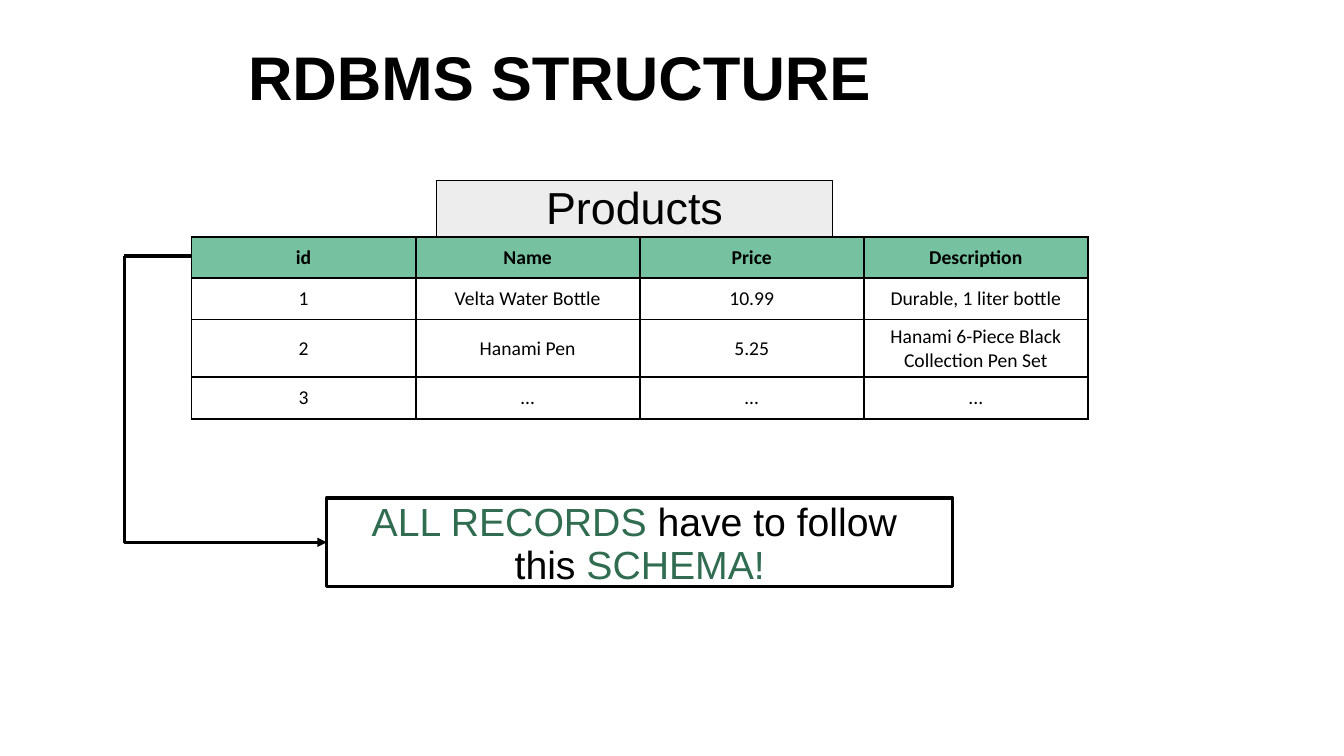
import lxml.etree
import pptx
import pptx.dml.color
import pptx.enum.shapes
import pptx.enum.text
import pptx.oxml.ns
import pptx.util

Inches, Pt = pptx.util.Inches, pptx.util.Pt
qn = pptx.oxml.ns.qn
CENTER = pptx.enum.text.PP_ALIGN.CENTER
TOP = pptx.enum.text.MSO_ANCHOR.TOP
MIDDLE = pptx.enum.text.MSO_ANCHOR.MIDDLE
CONNECTOR = pptx.enum.shapes.MSO_CONNECTOR

COLORS = {"ink": "000000", "paper": "FFFFFF", "label": "EDEDED",
          "header": "76C2A0", "accent": "306C50"}

PRODUCTS = [
    ["id", "Name", "Price", "Description"],
    ["1", "Velta Water Bottle", "10.99", "Durable, 1 liter bottle"],
    ["2", "Hanami Pen", "5.25", "Hanami 6-Piece Black Collection Pen Set"],
    ["3", "…", "…", "..."],
]


def rgb(name):
    return pptx.dml.color.RGBColor.from_string(COLORS[name])


def style_font(paragraph, size, name="Arial", bold=False):
    paragraph.font.size = Pt(size)
    paragraph.font.name = name
    paragraph.font.bold = bold
    paragraph.font.color.rgb = rgb("ink")


def prepare_frame(frame, anchor):
    frame.word_wrap = True
    frame.auto_size = pptx.enum.text.MSO_AUTO_SIZE.NONE
    frame.vertical_anchor = anchor
    frame.margin_left = frame.margin_right = Inches(0.05)
    frame.margin_top = frame.margin_bottom = Inches(0.05)
    frame.paragraphs[0].line_spacing = 0.9
    return frame.paragraphs[0]


def add_title(slide, left, top, width, height):
    title = slide.shapes.title
    title.left, title.top = Inches(left), Inches(top)
    title.width, title.height = Inches(width), Inches(height)
    heading = prepare_frame(title.text_frame, MIDDLE)
    heading.text = "RDBMS STRUCTURE"
    heading.alignment = pptx.enum.text.PP_ALIGN.LEFT
    style_font(heading, 44, bold=True)


def add_box(slide, left, top, width, height, fill, line_width, size):
    """Outlined rectangle; returns its empty centred paragraph."""
    box = slide.shapes.add_shape(
        pptx.enum.shapes.MSO_SHAPE.RECTANGLE,
        Inches(left), Inches(top), Inches(width), Inches(height))
    box.shadow.inherit = False
    box.fill.solid()
    box.fill.fore_color.rgb = rgb(fill)
    box.line.color.rgb = rgb("ink")
    box.line.width = Pt(line_width)
    paragraph = prepare_frame(box.text_frame, TOP)
    paragraph.alignment = CENTER
    style_font(paragraph, size)
    return paragraph


def add_cell_borders(cell):
    properties = cell._tc.get_or_add_tcPr()
    for side in ("a:lnL", "a:lnR", "a:lnT", "a:lnB"):
        border = lxml.etree.SubElement(properties, qn(side), w=str(Pt(1.5)))
        fill = lxml.etree.SubElement(border, qn("a:solidFill"))
        lxml.etree.SubElement(fill, qn("a:srgbClr"), val=COLORS["ink"])


def add_products_table(slide, left, top, width, row_height):
    rows, columns = len(PRODUCTS), len(PRODUCTS[0])
    table = slide.shapes.add_table(
        rows, columns, Inches(left), Inches(top),
        Inches(width), Inches(row_height * rows)).table
    for r, record in enumerate(PRODUCTS):
        for c, value in enumerate(record):
            cell = table.cell(r, c)
            cell.vertical_anchor = MIDDLE
            add_cell_borders(cell)
            cell.fill.solid()
            cell.fill.fore_color.rgb = rgb("header" if r == 0 else "paper")
            entry = cell.text_frame.paragraphs[0]
            entry.text = value
            entry.alignment = CENTER
            style_font(entry, 14, "Calibri", bold=r == 0)


def add_line(slide, kind, x1, y1, x2, y2):
    line = slide.shapes.add_connector(
        kind, Inches(x1), Inches(y1), Inches(x2), Inches(y2))
    line.line.color.rgb = rgb("ink")
    line.line.width = Pt(2.25)
    lxml.etree.SubElement(line._element.spPr, qn("a:effectLst"))
    return line


def add_schema_arrow(slide, table_left, header_y, left, note_left, note_y):
    """Runs from the header row down the left side to the note."""
    # Down-then-right elbow: a one-bend connector turned by 270 degrees
    mid_x, mid_y = (left + note_left) / 2, (header_y + note_y) / 2
    half_w, half_h = (note_y - header_y) / 2, (note_left - left) / 2
    elbow = add_line(slide, CONNECTOR.ELBOW, mid_x + half_w, mid_y - half_h,
                     mid_x - half_w, mid_y + half_h)
    properties = elbow._element.spPr
    properties.find(qn("a:xfrm")).set("rot", str(270 * 60000))
    properties.find(qn("a:prstGeom")).set("prst", "bentConnector2")
    lxml.etree.SubElement(properties.find(qn("a:ln")), qn("a:tailEnd"),
                          type="triangle")
    add_line(slide, CONNECTOR.STRAIGHT, left, header_y, table_left, header_y)


def add_schema_note(slide, left, top, width, height):
    note = add_box(slide, left, top, width, height, "paper", 2.25, 28)
    parts = [("ALL RECORDS ", "accent"), ("have to follow ", "ink"), None,
             ("this ", "ink"), ("SCHEMA!", "accent")]
    for part in parts:
        if part is None:
            note.add_line_break()
            continue
        run = note.add_run()
        run.text = part[0]
        run.font.size = Pt(28)
        run.font.color.rgb = rgb(part[1])


def main():
    deck = pptx.Presentation()
    deck.slide_width, deck.slide_height = Inches(13.33), Inches(7.5)
    slide = deck.slides.add_slide(deck.slide_layouts.get_by_name("Title Only"))
    add_title(slide, 2.41, 0.35, 6.88, 0.89)
    # Table with its name above
    table_name = add_box(slide, 4.33, 1.79, 3.93, 0.56, "label", 1, 32)
    table_name.text = "Products"
    add_products_table(slide, 1.9, 2.35, 8.89, 0.41)
    # Note about the schema
    add_schema_note(slide, 3.24, 4.94, 6.21, 0.88)
    add_schema_arrow(slide, 1.9, 2.54, 1.23, 3.24, 5.38)
    deck.save("out.pptx")


if __name__ == "__main__":
    main()
